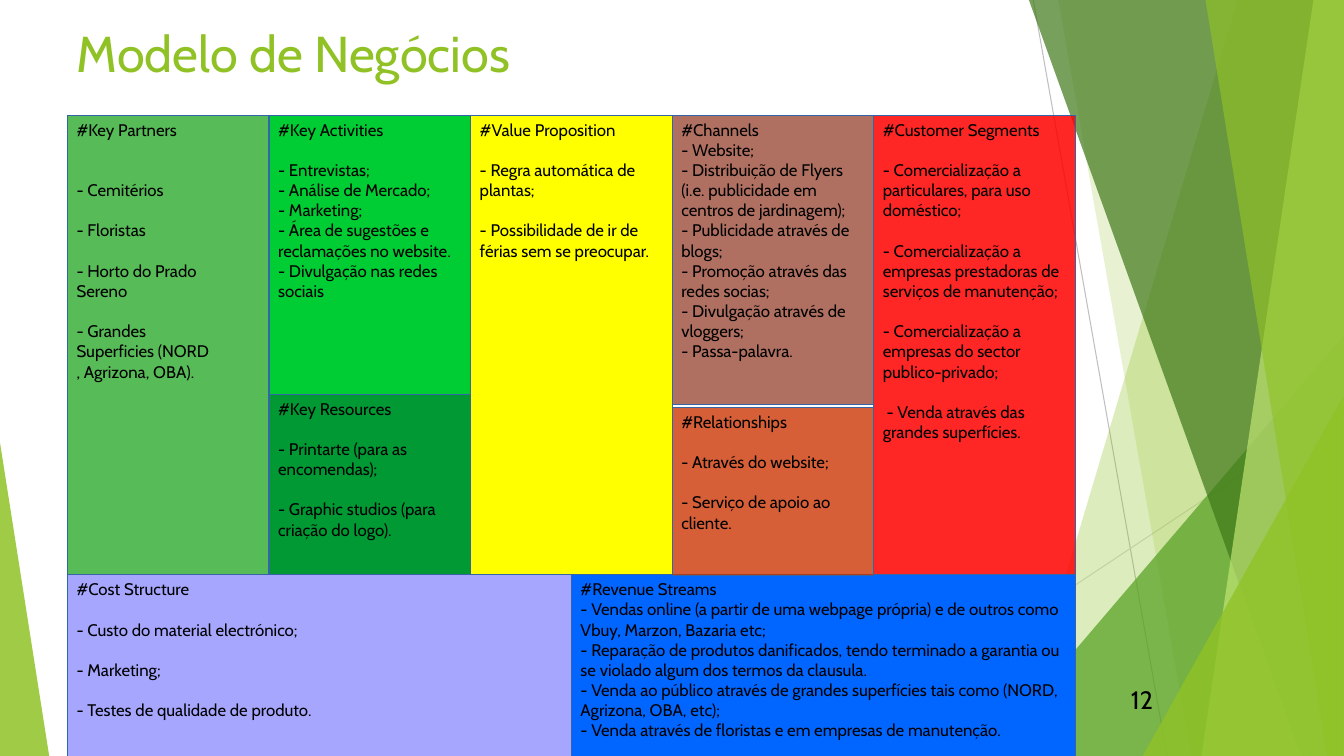
from dataclasses import dataclass
from typing import Any

from lxml.etree import SubElement
from pptx import Presentation
from pptx.dml.color import RGBColor
from pptx.enum.shapes import MSO_CONNECTOR, MSO_SHAPE
from pptx.enum.text import MSO_ANCHOR, MSO_AUTO_SIZE, PP_ALIGN
from pptx.oxml.ns import qn
from pptx.util import Cm, Pt

BLACK = RGBColor(0x00, 0x00, 0x00)
BORDER = RGBColor(0x34, 0x65, 0xA4)
LIME = RGBColor(0x90, 0xC2, 0x26)
LEAF = RGBColor(0x54, 0xA0, 0x21)
FOREST = RGBColor(0x3F, 0x78, 0x19)
MINT = RGBColor(0xC0, 0xE4, 0x74)
GREY = RGBColor(0xBF, 0xBF, 0xBF)
PALE_GREY = RGBColor(0xD9, 0xD9, 0xD9)
GREEN = RGBColor(0x00, 0x99, 0x00)
BRIGHT_GREEN = RGBColor(0x00, 0xCC, 0x33)
DEEP_GREEN = RGBColor(0x00, 0x99, 0x33)
YELLOW = RGBColor(0xFF, 0xFF, 0x00)
BROWN = RGBColor(0x80, 0x19, 0x00)
ORANGE = RGBColor(0xCC, 0x33, 0x00)
RED = RGBColor(0xFF, 0x00, 0x00)
VIOLET = RGBColor(0x00, 0x00, 0xFF)
BLUE = RGBColor(0x00, 0x66, 0xFF)

FONT = "Cabin"
WIDTH, HEIGHT = 33.87, 19.05
LEFT, COLUMN = 1.7, 5.08
TOP, FULL, UPPER = 2.9, 11.58, 7.29
BOTTOM = TOP + FULL
LINE_PITCH = 14.4


@dataclass
class Ray:
    start: tuple[float, float]
    end: tuple[float, float]
    color: RGBColor


@dataclass
class Band:
    top_left: float
    bottom_left: float
    color: RGBColor
    opacity: int


@dataclass
class Peak:
    left: float
    top: float
    width: float
    apex: float
    color: RGBColor
    opacity: int


@dataclass
class Block:
    column: float
    top: float
    columns: float
    height: float
    color: RGBColor
    opacity: int
    heading_gap: int
    item_gap: int
    lines: tuple[str, ...]


RAYS = (
    Ray((26.04, 0), (29.41, HEIGHT), GREY),
    Ray((WIDTH, 10.24), (20.62, HEIGHT), PALE_GREY),
)
FACETS = (
    Band(31.19, 25.5, LIME, 30),
    Band(26.67, 30.02, LIME, 20),
    Peak(24.82, 8.46, 9.04, 1, LEAF, 72),
    Band(25.93, 32.79, FOREST, 70),
    Band(33.1, 30.28, MINT, 70),
    Band(30.38, 33.45, LIME, 65),
    Peak(28.8, 9.98, 5.06, 1, LIME, 80),
    Peak(0, 11.15, 1.24, 0, LIME, 85),
)
BLOCKS = (
    Block(0, TOP, 1, FULL, GREEN, 66, 2, 1, (
        "#Key Partners", "- Cemitérios", "- Floristas", "- Horto do Prado", "Sereno",
        "- Grandes", "Superficies (NORD", ", Agrizona, OBA).")),
    Block(2, TOP, 1, FULL, YELLOW, 100, 1, 1, (
        "#Value Proposition", "- Regra automática de plantas;",
        "- Possibilidade de ir de férias sem se preocupar.")),
    Block(0, BOTTOM, 2.5, 4.7, VIOLET, 35, 1, 1, (
        "#Cost Structure", "- Custo do material electrónico;", "- Marketing;",
        "- Testes de qualidade de produto.")),
    Block(2.5, BOTTOM, 2.5, 4.7, BLUE, 100, 0, 0, (
        "#Revenue Streams",
        "- Vendas online (a partir de uma webpage própria) e de outros como "
        "Vbuy, Marzon, Bazaria etc;",
        "- Reparação de produtos danificados, tendo terminado a garantia ou "
        "se violado algum dos termos da clausula.",
        "- Venda ao público através de grandes superfícies tais como (NORD, "
        "Agrizona, OBA, etc);",
        "- Venda através de floristas e em empresas de manutenção.")),
    Block(1, TOP, 1, UPPER, BRIGHT_GREEN, 100, 1, 0, (
        "#Key Activities", "- Entrevistas;", "- Análise de Mercado;", "- Marketing;",
        "- Área de sugestões e reclamações no website.", "- Divulgação nas redes sociais")),
    Block(1, 9.93, 1, 4.55, DEEP_GREEN, 100, 1, 1, (
        "#Key Resources", "- Printarte (para as encomendas);",
        "- Graphic studios (para criação do logo).")),
    Block(3, 10.26, 1, 4.24, ORANGE, 78, 1, 1, (
        "#Relationships", "- Através do website;", "- Serviço de apoio ao cliente.")),
    Block(3, TOP, 1, UPPER, BROWN, 62, 0, 0, (
        "#Channels", "- Website;",
        "- Distribuição de Flyers (i.e. publicidade em centros de jardinagem);",
        "- Publicidade através de blogs;", "- Promoção através das redes socias;",
        "- Divulgação através de vloggers;", "- Passa-palavra.")),
    Block(4, TOP, 1, FULL, RED, 85, 1, 1, (
        "#Customer Segments", "- Comercialização a particulares, para uso doméstico;",
        "- Comercialização a empresas prestadoras de serviços de manutenção;",
        "- Comercialização a empresas do sector publico-privado;",
        " - Venda através das grandes superfícies.")),
)
BLOCK_FRAME = {
    "word_wrap": True, "vertical_anchor": MSO_ANCHOR.TOP,
    "margin_left": Cm(0.23), "margin_right": Cm(0.23),
    "margin_top": Cm(0.11), "margin_bottom": Cm(0.11),
}


def apply(target: Any, values: dict[str, Any]) -> None:
    for name, value in values.items():
        setattr(target, name, value)


def paint(shape: Any, color: RGBColor, opacity: int) -> None:
    shape.shadow.inherit = False
    shape.fill.solid()
    shape.fill.fore_color.rgb = color
    if opacity < 100:
        tint = shape.element.spPr.find(qn("a:solidFill")).find(qn("a:srgbClr"))
        SubElement(tint, qn("a:alpha")).set("val", str(opacity * 1000))


def write(para: Any, text: str, size: int, color: RGBColor, align: PP_ALIGN) -> None:
    para.alignment = align
    span = para.add_run()
    span.text = text
    apply(span.font, {"name": FONT, "size": Pt(size)})
    span.font.color.rgb = color


def draw_ray(page: Any, ray: Ray) -> None:
    points = [Cm(value) for value in ray.start + ray.end]
    connector = page.shapes.add_connector(MSO_CONNECTOR.STRAIGHT, *points)
    connector.line.color.rgb = ray.color
    connector.line.width = Pt(0.75)
    SubElement(connector.element.spPr, qn("a:effectLst"))


def draw_facet(page: Any, facet: Band | Peak) -> None:
    if isinstance(facet, Band):
        builder = page.shapes.build_freeform(Cm(facet.top_left), 0)
        corners = ((WIDTH, 0), (WIDTH, HEIGHT), (facet.bottom_left, HEIGHT))
        builder.add_line_segments([(Cm(x), Cm(y)) for x, y in corners], close=True)
        shape = builder.convert_to_shape()
    else:
        shape = page.shapes.add_shape(
            MSO_SHAPE.ISOSCELES_TRIANGLE, Cm(facet.left), Cm(facet.top),
            Cm(facet.width), Cm(HEIGHT - facet.top))
        shape.adjustments[0] = facet.apex
    paint(shape, facet.color, facet.opacity)
    shape.line.fill.background()


def draw_block(page: Any, block: Block) -> None:
    box = page.shapes.add_shape(
        MSO_SHAPE.RECTANGLE, Cm(LEFT + block.column * COLUMN), Cm(block.top),
        Cm(block.columns * COLUMN), Cm(block.height))
    paint(box, block.color, block.opacity)
    box.line.color.rgb = BORDER
    box.line.width = Pt(0.75)
    frame = box.text_frame
    apply(frame, BLOCK_FRAME)
    for index, line in enumerate(block.lines):
        para = frame.add_paragraph() if index else frame.paragraphs[0]
        write(para, line, 12, BLACK, PP_ALIGN.LEFT)
        if line.lstrip().startswith("-"):
            gap = block.heading_gap if index == 1 else block.item_gap
            para.space_before = Pt(gap * LINE_PITCH)


def draw_title(page: Any) -> None:
    title = page.shapes.title
    apply(title, {"left": Cm(1.68), "top": Cm(0.43), "width": Cm(23.88), "height": Cm(3.66)})
    apply(title.text_frame, {
        "word_wrap": True, "vertical_anchor": MSO_ANCHOR.TOP, "auto_size": MSO_AUTO_SIZE.NONE})
    write(title.text_frame.paragraphs[0], "Modelo de Negócios", 36, LIME, PP_ALIGN.LEFT)
    title.element.getparent().append(title.element)


def draw_page_number(page: Any) -> None:
    box = page.shapes.add_textbox(Cm(27.41), Cm(17.12), Cm(1.9), Cm(1.02))
    apply(box.text_frame, {"word_wrap": True, "vertical_anchor": MSO_ANCHOR.MIDDLE})
    write(box.text_frame.paragraphs[0], "12", 18, BLACK, PP_ALIGN.RIGHT)


def main() -> None:
    deck = Presentation()
    apply(deck, {"slide_width": Cm(WIDTH), "slide_height": Cm(HEIGHT)})
    page = deck.slides.add_slide(deck.slide_layouts[5])
    for ray in RAYS:
        draw_ray(page, ray)
    for facet in FACETS:
        draw_facet(page, facet)
    for block in BLOCKS:
        draw_block(page, block)
    draw_title(page)
    draw_page_number(page)
    deck.save("out.pptx")


if __name__ == "__main__":
    main()
